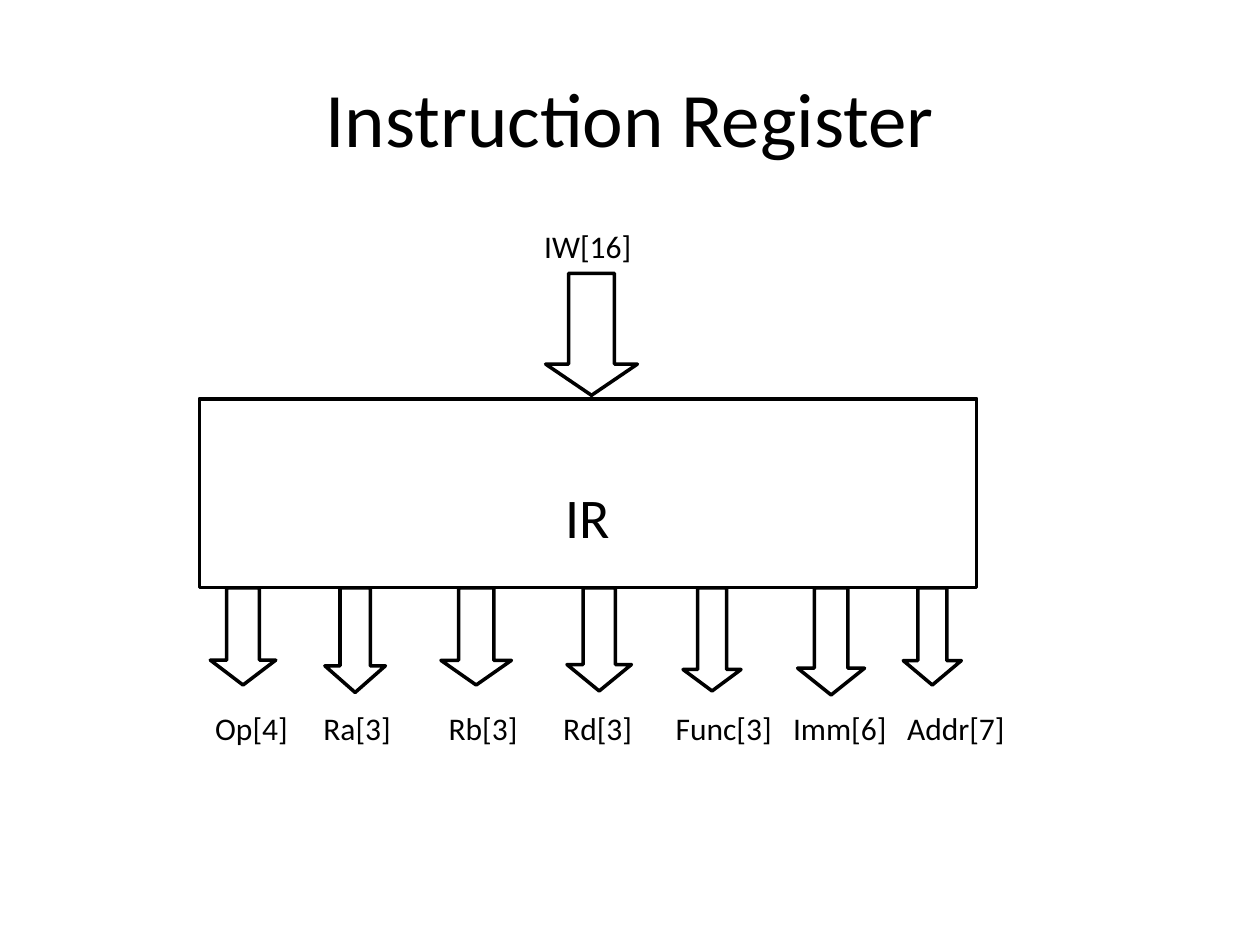
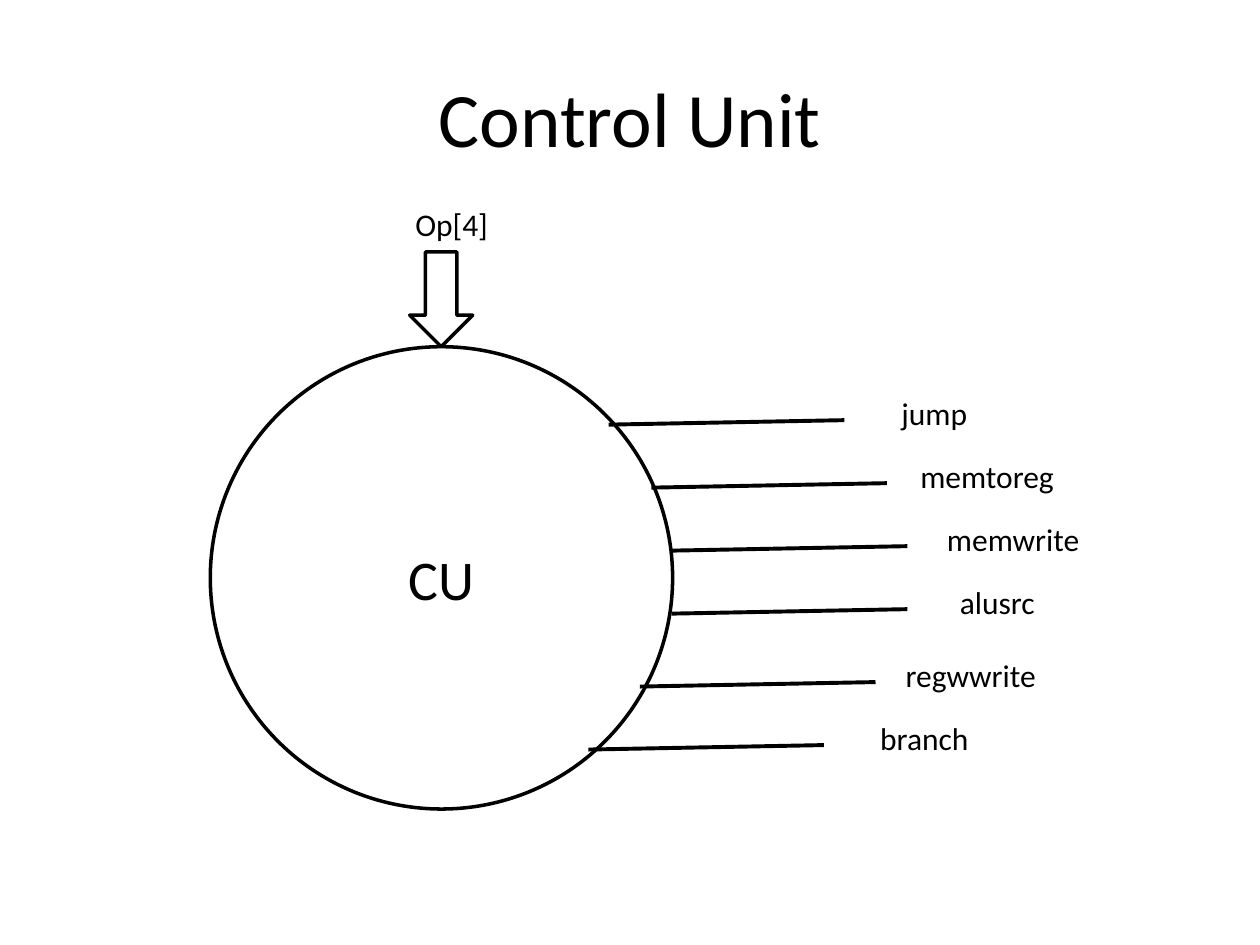
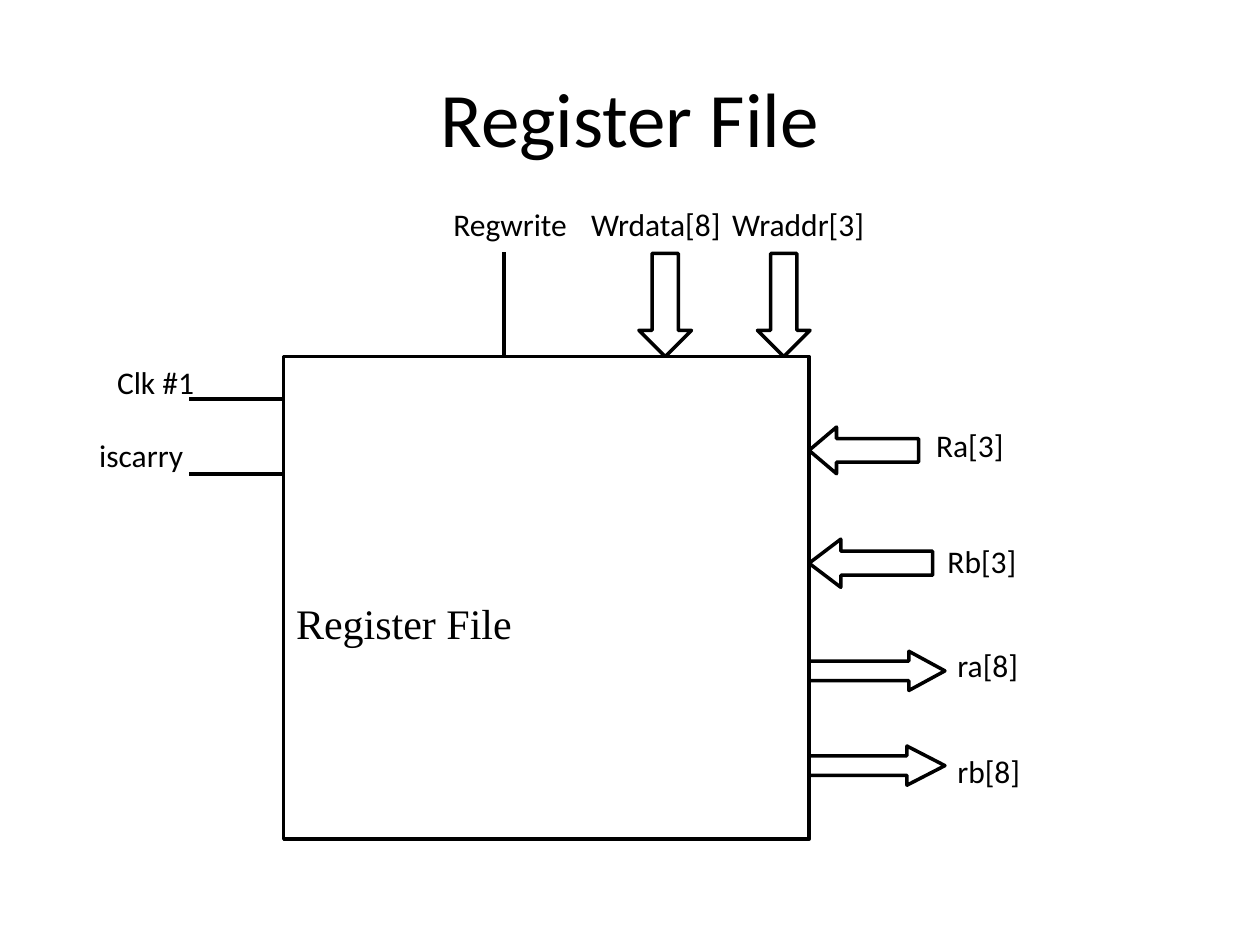
from lxml import etree
from pptx import Presentation
from pptx.dml.color import RGBColor
from pptx.enum.shapes import MSO_CONNECTOR, MSO_SHAPE
from pptx.enum.text import MSO_ANCHOR, PP_ALIGN
from pptx.oxml.ns import qn
from pptx.util import Cm, Pt

BLACK = RGBColor(0x00, 0x00, 0x00)
WHITE = RGBColor(0xFF, 0xFF, 0xFF)
DOWN, LEFT, RIGHT = MSO_SHAPE.DOWN_ARROW, MSO_SHAPE.LEFT_ARROW, MSO_SHAPE.RIGHT_ARROW


class Diagram:
    """Draws black-on-white block diagrams, one slide at a time."""

    def __init__(self):
        self.prs = Presentation()
        self.prs.slide_width, self.prs.slide_height = Cm(25.4), Cm(19.05)
        self.s = None

    def slide(self, title):
        self.s = self.prs.slides.add_slide(self.prs.slide_layouts[6])
        self.label(title, 1.27, 0.76, 22.86, 3.18, size=44, anchor=MSO_ANCHOR.MIDDLE)

    def set_text(self, sp, text, size, align, anchor, font="Calibri"):
        tf = sp.text_frame
        tf.word_wrap = True
        tf.vertical_anchor = anchor
        p = tf.paragraphs[0]
        p.alignment = align
        r = p.add_run()
        r.text = text
        r.font.name, r.font.size = font, Pt(size)
        r.font.color.rgb = BLACK

    def label(self, text, x, y, w=2.97, h=1.03, size=18,
              align=PP_ALIGN.CENTER, anchor=MSO_ANCHOR.TOP):
        sp = self.s.shapes.add_textbox(Cm(x), Cm(y), Cm(w), Cm(h))
        self.set_text(sp, text, size, align, anchor)

    def shape(self, kind, x, y, w, h):
        sp = self.s.shapes.add_shape(kind, Cm(x), Cm(y), Cm(w), Cm(h))
        sp.shadow.inherit = False
        sp.fill.solid()
        sp.fill.fore_color.rgb = WHITE
        sp.line.color.rgb = BLACK
        sp.line.width = Pt(2)
        return sp

    def block(self, kind, x, y, w, h, text, size=32, align=PP_ALIGN.CENTER,
              top=None, font="Calibri"):
        sp = self.shape(kind, x, y, w, h)
        anchor = MSO_ANCHOR.MIDDLE
        if top is not None:
            anchor = MSO_ANCHOR.TOP
            sp.text_frame.margin_top = Cm(top)
        self.set_text(sp, text, size, align, anchor, font)

    def arrow(self, kind, x, y, w, h, head=0.5):
        sp = self.shape(kind, x, y, w, h)
        sp.adjustments[0], sp.adjustments[1] = 0.5, head

    def line(self, x1, y1, x2, y2, width=2.25):
        c = self.s.shapes.add_connector(MSO_CONNECTOR.STRAIGHT, Cm(x1), Cm(y1), Cm(x2), Cm(y2))
        c.line.color.rgb = BLACK
        c.line.width = Pt(width)
        etree.SubElement(c._element.spPr, qn("a:effectLst"))


def instruction_register(d):
    d.slide("Instruction Register")
    d.block(MSO_SHAPE.RECTANGLE, 4.02, 8.04, 15.67, 3.81, "IR", top=1.68)
    d.arrow(DOWN, 11, 5.51, 1.85, 2.46, 0.34)
    d.label("IW[16]", 10.16, 4.45, 3.38)
    fields = [
        ("Op[4]", 3.38, 4.24, 1.32, 1.96, 0.38),
        ("Ra[3]", 5.51, 6.55, 1.22, 2.11, 0.44),
        ("Rb[3]", 8.05, 8.89, 1.42, 1.96, 0.35),
        ("Rd[3]", 10.36, 11.43, 1.3, 2.08, 0.41),
        ("Func[3]", 12.9, 13.77, 1.17, 2.08, 0.37),
        ("Imm[6]", 15.24, 16.08, 1.35, 2.16, 0.4),
        ("Addr[7]", 17.58, 18.21, 1.17, 1.96, 0.42),
    ]
    for text, label_x, x, w, h, head in fields:
        d.arrow(DOWN, x, 11.85, w, h, head)
        d.label(text, label_x, 14.17, 3.38)


def control_unit(d):
    d.slide("Control Unit")
    d.block(MSO_SHAPE.OVAL, 4.24, 6.99, 9.32, 9.32, "CU")
    d.arrow(DOWN, 8.26, 5.08, 1.27, 1.91)
    d.label("Op[4]", 7.62, 4.01)
    signals = [
        ("jump", 12.27, 8.56, 17.35, 2.97),
        ("memtoreg", 13.13, 9.83, 18.21, 3.38),
        ("memwrite", 13.54, 11.1, 18.62, 3.61),
        ("alusrc", 13.54, 12.37, 18.62, 2.97),
        ("regwwrite", 12.9, 13.84, 17.98, 3.18),
        ("branch", 11.86, 15.11, 17.15, 2.97),
    ]
    for text, x, y, label_x, w in signals:
        d.line(x, y, x + 4.75, y - 0.09)
        d.label(text, label_x, y - 0.74, w)


def register_file(d):
    d.slide("Register File")
    for text, label_x, label_w, x in [("Wrdata[8]", 11.63, 3.18, 12.88),
                                      ("Wraddr[3]", 14.4, 3.38, 15.27)]:
        d.arrow(DOWN, x, 5.11, 1.06, 2.08)
        d.label(text, label_x, 4.01, label_w)
    ports = [
        ("Ra[3]", 18.62, 8.46, LEFT, 8.61, 2.21, 0.94, 0.59),
        ("Rb[3]", 18.85, 10.8, LEFT, 10.87, 2.49, 0.97, 0.66),
        ("ra[8]", 19.05, 12.9, RIGHT, 13.13, 2.74, 0.79, 0.92),
        ("rb[8]", 19.05, 15.04, RIGHT, 15.04, 2.74, 0.79, 0.97),
    ]
    for text, label_x, label_y, kind, y, w, h, head in ports:
        d.arrow(kind, 16.31, y, w, h, head)
        d.label(text, label_x, label_y, align=PP_ALIGN.LEFT)
    d.block(MSO_SHAPE.RECTANGLE, 5.72, 7.19, 10.59, 9.73, "Register File",
            24, PP_ALIGN.LEFT, 4.85, "Times New Roman")
    d.line(10.16, 5.08, 10.16, 7.19, 2)
    d.label("Regwrite", 8.89, 4.01, align=PP_ALIGN.LEFT)
    for text, x, y, line_y in [("Clk #1", 2.11, 7.19, 8.05), ("iscarry", 1.75, 8.66, 9.55)]:
        d.line(3.81, line_y, 5.72, line_y)
        d.label(text, x, y, 2.26, align=PP_ALIGN.LEFT)


def main():
    d = Diagram()
    instruction_register(d)
    control_unit(d)
    register_file(d)
    d.prs.save("out.pptx")


if __name__ == "__main__":
    main()
